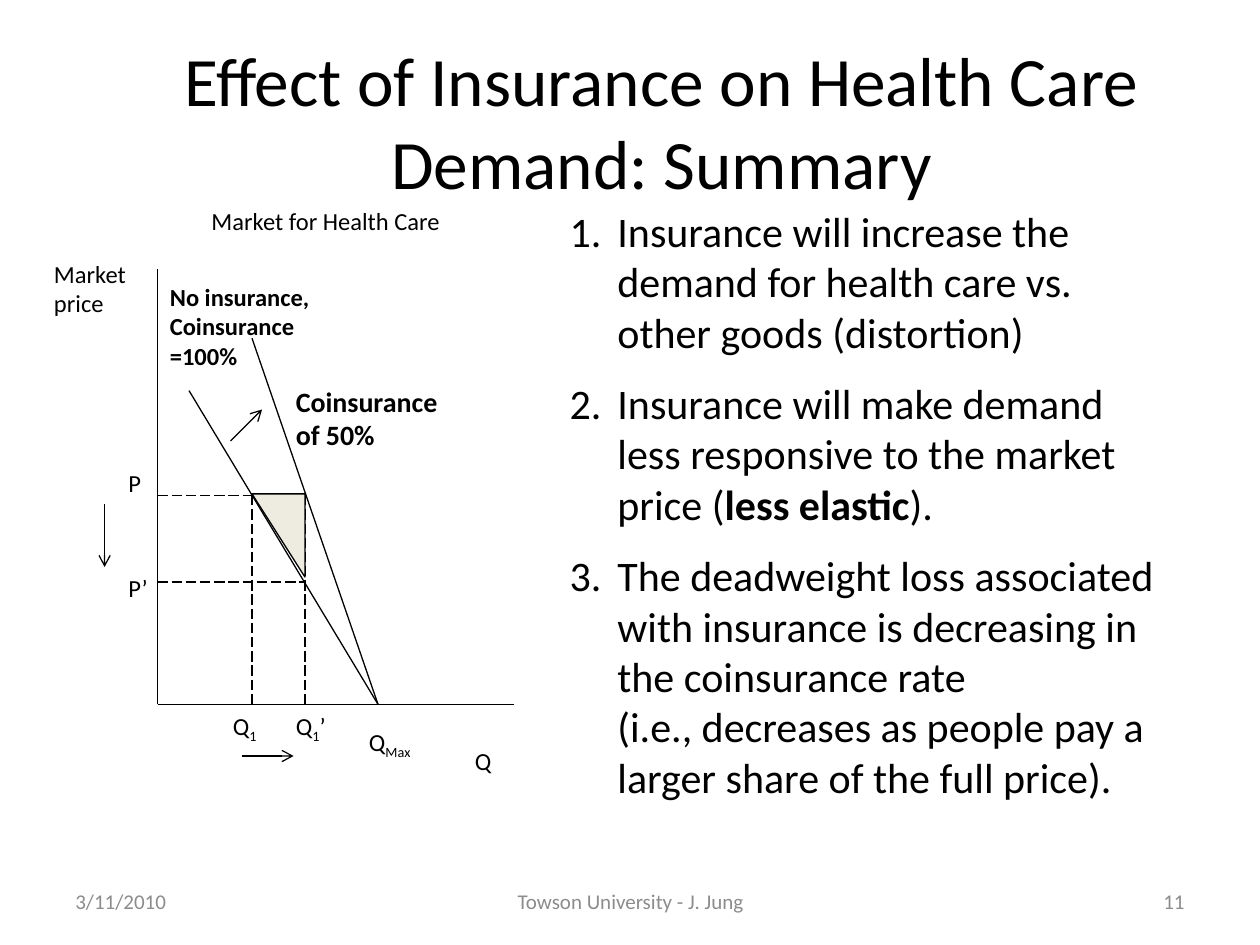
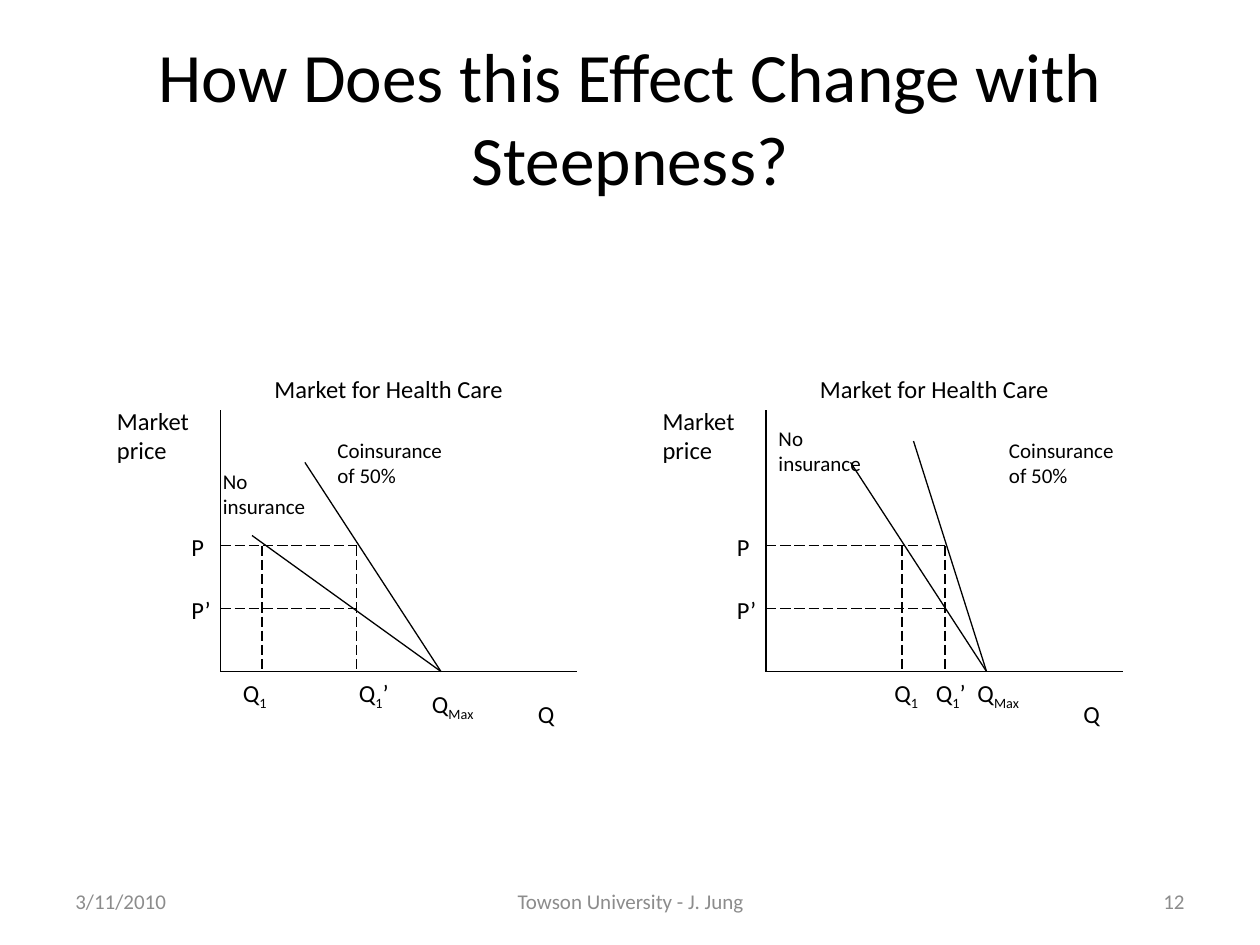
from lxml import etree
from pptx import Presentation
from pptx.dml.color import RGBColor
from pptx.enum.dml import MSO_LINE
from pptx.enum.shapes import MSO_CONNECTOR
from pptx.enum.text import MSO_ANCHOR, MSO_AUTO_SIZE, PP_ALIGN
from pptx.oxml.ns import qn
from pptx.util import Inches, Pt

LEFT, CENTER, RIGHT = PP_ALIGN.LEFT, PP_ALIGN.CENTER, PP_ALIGN.RIGHT
TOP, MIDDLE = MSO_ANCHOR.TOP, MSO_ANCHOR.MIDDLE
NO_AUTOFIT = MSO_AUTO_SIZE.NONE
STRAIGHT = MSO_CONNECTOR.STRAIGHT
LONG_DASH = MSO_LINE.LONG_DASH

FONT = "Calibri"
COLORS = {"ink": "000000", "footer": "8C8C8C", "loss": "EEECE1"}
TITLE_AND_CONTENT, TITLE_ONLY = 1, 5

# Footer parts: text (None for the page number), left, width, alignment
FOOTERS = [
    ("3/11/2010", 0.5, 2.33, LEFT),
    ("Towson University - J. Jung", 3.42, 3.17, CENTER),
    (None, 7.17, 2.33, RIGHT),
]

# Inside a market, a point is (right, up) from the origin; "stretch" scales up.
AXIS_WIDTH, AXIS_HEIGHT, QUANTITY_MAX, PRICE = 2.83, 2.08, 1.75, 1
LABEL_HEIGHT = 0.33

# Labels at the same place in every market: text, right, up, width
FIXED_LABELS = [
    ("Q", 2.42, -0.17, 0.42),
    ("Market for Health Care", 0.33, 2.41, 2.17),
    ("Market price", -0.92, 2.16, 0.92),
    ("P", -0.33, 1.16, 0.42),
    ("P’", -0.33, 0.66, 0.42),
]

# Quantity labels: runs as (text, is subscript), width
QUANTITY_LABELS = {
    "q1": ([("Q", False), ("1", True)], 0.58),
    "q1_new": ([("Q", False), ("1", True), ("’", False)], 0.58),
    "q_max": ([("Q", False), ("Max", True)], 0.83),
}

# Curve notes: text, right, up, width, size, bold
SUMMARY_MARKET = {
    "origin": (1.25, 5.59), "stretch": 1.66,
    "demand_tops": [(0.25, 1.5), (0.75, 1.75)],
    "q1": 0.75, "q1_new": 1.17, "price_new": 0.585, "price_line_end": 1.17,
    "label_places": {"q1": (0.5, 0), "q1_new": (1, 0), "q_max": (1.58, -0.08)},
    "notes": [
        ("No insurance, Coinsurance =100%", 0, 2.05, 1.67, 14, True),
        ("Coinsurance of 50%", 1, 1.56, 1.33, 16, True),
    ],
}
FLAT_MARKET = {
    "origin": (1.75, 5.33), "stretch": 1,
    "demand_tops": [(0.25, 1.08), (0.67, 1.66)],
    "q1": 0.33, "q1_new": 1.08, "price_new": 0.5, "price_line_end": 1.08,
    "label_places": {"q1": (0.08, 0), "q1_new": (1, 0), "q_max": (1.58, -0.09)},
    "notes": [
        ("No insurance", -0.08, 1.66, 1.08, 12, False),
        ("Coinsurance of 50%", 0.83, 1.91, 1.17, 12, False),
    ],
}
STEEP_MARKET = {
    "origin": (6.08, 5.33), "stretch": 1,
    "demand_tops": [(0.67, 1.66), (1.17, 1.83)],
    "q1": 1.08, "q1_new": 1.42, "price_new": 0.5, "price_line_end": 1.42,
    "label_places": {"q1": (0.92, 0), "q1_new": (1.25, 0), "q_max": (1.58, 0)},
    "notes": [
        ("No insurance", 0, 2, 1.08, 12, False),
        ("Coinsurance of 50%", 1.83, 1.91, 1.17, 12, False),
    ],
}

# Each point is a list of lines, each line a list of (text, bold)
SUMMARY_POINTS = [
    [[("Insurance will increase the demand for health care vs. other goods (distortion)", False)]],
    [[("Insurance will make demand less responsive to the market price (", False),
      ("less elastic", True), (").", False)]],
    [[("The deadweight loss associated with insurance is decreasing in the coinsurance rate", False)],
     [("(i.e., decreases as people pay a larger share of the full price).", False)]],
]
LOSS_TRIANGLE = [(2, 3.92), (2.42, 4.58), (2.42, 3.92)]
CHANGE_ARROWS = [
    ((1.83, 3.5), (2.08, 3.25)),
    ((0.83, 4), (0.83, 4.5)),
    ((1.92, 6), (2.33, 6)),
]


def rgb(name):
    return RGBColor.from_string(COLORS[name])


def place(shape, left, top, width, height):
    shape.left, shape.top = Inches(left), Inches(top)
    shape.width, shape.height = Inches(width), Inches(height)


def add_span(para, text, size, color="ink", bold=False, subscript=False):
    span = para.add_run()
    span.text = text
    span.font.name, span.font.size, span.font.bold = FONT, Pt(size), bold
    span.font.color.rgb = rgb(color)
    if subscript:
        span.font._element.set("baseline", "-25000")


def add_label(page, spans, frame, size=14, bold=False, color="ink", align=LEFT, anchor=TOP):
    box = page.shapes.add_textbox(*map(Inches, frame))
    box.text_frame.word_wrap = True
    box.text_frame.vertical_anchor = anchor
    para = box.text_frame.paragraphs[0]
    para.alignment = align
    for text, subscript in spans:
        add_span(para, text, size, color, bold, subscript)


def add_line(page, start, end, dashed=False, arrow=False):
    line = page.shapes.add_connector(STRAIGHT, *map(Inches, (*start, *end)))
    line.line.color.rgb = rgb("ink")
    line.line.width = Pt(0.75)
    if dashed:
        line.line.dash_style = LONG_DASH
    if arrow:
        etree.SubElement(line.line._get_or_add_ln(), qn("a:tailEnd"), type="arrow")
    etree.SubElement(line._element.spPr, qn("a:effectLst"))


def add_page(deck, layout, title, left, top):
    page = deck.slides.add_slide(deck.slide_layouts[layout])
    place(page.shapes.title, left, top, 9, 1.25)
    frame = page.shapes.title.text_frame
    frame.auto_size, frame.vertical_anchor = NO_AUTOFIT, MIDDLE
    frame.paragraphs[0].alignment = CENTER
    add_span(frame.paragraphs[0], title, 39.6)
    return page


def add_footers(page, number):
    for text, left, width, align in FOOTERS:
        add_label(page, [(text or str(number), False)], (left, 6.95, width, 0.4),
                  12, color="footer", align=align, anchor=MIDDLE)


def add_market(page, market):
    """Draw axes, demand curves, dashed guides and labels from one origin."""
    origin_x, origin_y = market["origin"]
    stretch = market["stretch"]

    def point(right, up):
        return origin_x + right, origin_y - up * stretch

    def label(spans, right, up, width, size=14, bold=False):
        add_label(page, spans, (*point(right, up), width, LABEL_HEIGHT * stretch), size, bold)

    for axis_end in [(0, AXIS_HEIGHT), (AXIS_WIDTH, 0)]:
        add_line(page, point(0, 0), point(*axis_end))
    for top in market["demand_tops"]:
        add_line(page, point(QUANTITY_MAX, 0), point(*top))
    for price in (PRICE, market["price_new"]):
        add_line(page, point(0, price), point(market["price_line_end"], price), dashed=True)
    for quantity in (market["q1"], market["q1_new"]):
        add_line(page, point(quantity, PRICE), point(quantity, 0), dashed=True)

    for text, *where in FIXED_LABELS:
        label([(text, False)], *where)
    for name, (spans, width) in QUANTITY_LABELS.items():
        label(spans, *market["label_places"][name], width)
    for text, *where in market["notes"]:
        label([(text, False)], *where)


def add_numbering(para):
    props = para._p.get_or_add_pPr()
    props.set("marL", str(Inches(0.38)))
    props.set("indent", str(Inches(-0.38)))
    etree.SubElement(props, qn("a:buFont"), typeface=FONT)
    etree.SubElement(props, qn("a:buAutoNum"), type="arabicPeriod")


def add_points(page):
    body = page.placeholders[1]
    place(body, 4.42, 1.58, 5, 4.95)
    frame = body.text_frame
    frame.auto_size, frame.vertical_anchor = NO_AUTOFIT, TOP
    for index, lines in enumerate(SUMMARY_POINTS):
        para = frame.add_paragraph() if index else frame.paragraphs[0]
        add_numbering(para)
        para.space_before = Pt(12 if index else 0)
        for line_index, line in enumerate(lines):
            if line_index:
                para.add_line_break()
            for text, bold in line:
                add_span(para, text, 24, bold=bold)


def add_loss_triangle(page):
    corners = [(Inches(x), Inches(y)) for x, y in LOSS_TRIANGLE]
    outline = page.shapes.build_freeform(*corners[0])
    outline.add_line_segments(corners[1:], close=True)
    triangle = outline.convert_to_shape()
    triangle.shadow.inherit = False
    triangle.fill.solid()
    triangle.fill.fore_color.rgb = rgb("loss")
    triangle.line.color.rgb = rgb("ink")
    triangle.line.width = Pt(0.75)


def main():
    deck = Presentation()
    deck.slide_width, deck.slide_height = Inches(10), Inches(7.5)

    summary = add_page(deck, TITLE_AND_CONTENT,
                       "Effect of Insurance on Health Care Demand: Summary", 0.75, 0.33)
    add_footers(summary, 11)
    add_market(summary, SUMMARY_MARKET)
    add_points(summary)
    add_loss_triangle(summary)
    for start, end in CHANGE_ARROWS:
        add_line(summary, start, end, arrow=True)

    steepness = add_page(deck, TITLE_ONLY,
                         "How Does this Effect Change with Steepness?", 0.5, 0.3)
    add_footers(steepness, 12)
    for market in (FLAT_MARKET, STEEP_MARKET):
        add_market(steepness, market)

    deck.save("out.pptx")


if __name__ == "__main__":
    main()
